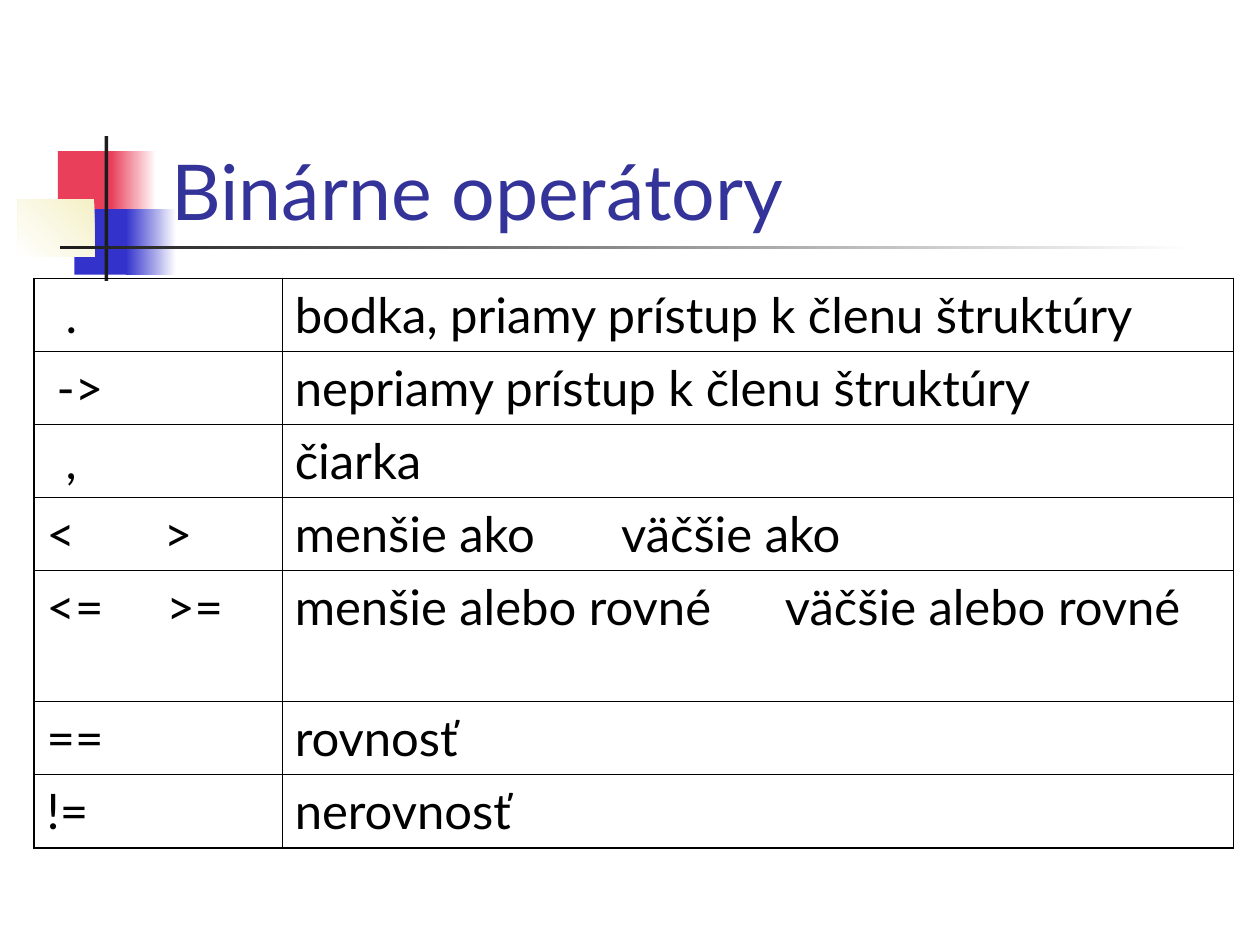
from dataclasses import dataclass

from lxml import etree
from pptx import Presentation
from pptx.dml.color import RGBColor
from pptx.enum.shapes import MSO_SHAPE
from pptx.enum.text import MSO_ANCHOR, MSO_AUTO_SIZE, PP_ALIGN
from pptx.oxml.ns import qn
from pptx.util import Inches, Pt

RECTANGLE = MSO_SHAPE.RECTANGLE
BOTTOM = MSO_ANCHOR.BOTTOM
LEFT = PP_ALIGN.LEFT
NO_AUTOFIT = MSO_AUTO_SIZE.NONE
TITLE_ONLY = 5


@dataclass(frozen=True)
class Theme:
    font: str = "Lato"
    title_size: float = 44
    body_size: float = 28
    outer_line: float = 1.08
    inner_line: float = 0.45
    title: str = "333399"
    text: str = "000000"
    white: str = "FFFFFF"
    red: str = "E93F5B"
    blue: str = "3333CC"
    cream: str = "F4F0C6"
    dark: str = "1C1C1C"


def color(value):
    return RGBColor.from_string(value)


class SlideBuilder:
    def __init__(self, slide, theme):
        self.slide = slide
        self.theme = theme

    def style_font(self, paragraph, size, value):
        for run in paragraph.runs:
            run.font.name = self.theme.font
            run.font.size = Pt(size)
            run.font.color.rgb = color(value)

    def block(self, box, start, end=None, angle=180):
        """Add a rectangle, solid or fading from start to end; angle is counter-clockwise."""
        shape = self.slide.shapes.add_shape(RECTANGLE, *map(Inches, box))
        shape.shadow.inherit = False
        shape.line.fill.background()
        if end is None:
            shape.fill.solid()
            shape.fill.fore_color.rgb = color(start)
            return
        shape.fill.gradient()
        shape.fill.gradient_angle = angle
        for stop, position, value in zip(shape.fill.gradient_stops, (0, 1), (start, end)):
            stop.position = position
            stop.color.rgb = color(value)

    def title(self, text, box):
        shape = self.slide.shapes.title
        shape.left, shape.top, shape.width, shape.height = map(Inches, box)
        frame = shape.text_frame
        frame.text = text
        frame.auto_size = NO_AUTOFIT
        frame.vertical_anchor = BOTTOM
        paragraph = frame.paragraphs[0]
        paragraph.alignment = LEFT
        self.style_font(paragraph, self.theme.title_size, self.theme.title)
        shape.element.getparent().append(shape.element)  # in front of the decoration

    def border(self, cell, side, width):
        line = etree.SubElement(cell._tc.get_or_add_tcPr(), qn(f"a:ln{side}"), w=str(Pt(width)))
        fill = etree.SubElement(line, qn("a:solidFill"))
        etree.SubElement(fill, qn("a:srgbClr"), val=self.theme.text)

    def cell(self, cell, text, indent, tab, outer_sides):
        """Fill one cell; indent and tab are inches from the text edge, or 0 for none."""
        for side in "LRTB":
            outer = side in outer_sides
            self.border(cell, side, self.theme.outer_line if outer else self.theme.inner_line)
        cell.fill.background()
        cell.text_frame.text = text
        paragraph = cell.text_frame.paragraphs[0]
        properties = paragraph._p.get_or_add_pPr()
        if indent:
            properties.set("marL", str(Inches(indent)))
        if tab:
            tabs = etree.SubElement(properties, qn("a:tabLst"))
            etree.SubElement(tabs, qn("a:tab"), pos=str(Inches(tab)), algn="l")
        self.style_font(paragraph, self.theme.body_size, self.theme.text)

    def table(self, rows, box, widths, heights):
        shape = self.slide.shapes.add_table(len(rows), len(widths), *map(Inches, box))
        table = shape.table
        table.first_row = table.horz_banding = False
        for column, width in zip(table.columns, widths):
            column.width = Inches(width)
        for row, height in zip(table.rows, heights):
            row.height = Inches(height)
        for i, row in enumerate(rows):
            vertical = {0: "T", len(rows) - 1: "B"}.get(i, "")
            for j, (text, indent, tab) in enumerate(row):
                horizontal = {0: "L", len(widths) - 1: "R"}.get(j, "")
                self.cell(table.cell(i, j), text, indent, tab, vertical + horizontal)


# Each cell: text, indent, tab stop
OPERATORS = [
    [(".", 0.15, 0), ("bodka, priamy prístup k členu štruktúry", 0, 0)],
    [("->", 0.08, 0), ("nepriamy prístup k členu štruktúry", 0, 0)],
    [(",", 0.15, 0), ("čiarka", 0, 0)],
    [("<\t>", 0, 0.93), ("menšie ako\tväčšie ako", 0, 2.59)],
    [("<=\t>=", 0, 0.95), ("menšie alebo rovné\tväčšie alebo rovné", 0, 3.89)],
    [("==", 0, 0), ("rovnosť", 0, 0)],
    [("!=", 0, 0), ("nerovnosť", 0, 0)],
]
ROW_HEIGHT, TALL_ROW_HEIGHT, TALL_ROW = 0.58, 1.04, 4


def main():
    presentation = Presentation()
    presentation.slide_width = Inches(10)
    presentation.slide_height = Inches(7.5)
    slide = presentation.slides.add_slide(presentation.slide_layouts[TITLE_ONLY])
    theme = Theme()
    builder = SlideBuilder(slide, theme)

    builder.block((0.46, 1.2, 0.48, 0.52), theme.red)
    builder.block((0.88, 1.2, 0.36, 0.52), theme.white, theme.red)
    builder.block((0.59, 1.66, 0.46, 0.52), theme.blue)
    builder.block((1, 1.66, 0.4, 0.52), theme.white, theme.blue)
    builder.block((0.14, 1.58, 0.61, 0.46), theme.cream, theme.white, angle=225)
    builder.block((0.83, 1.08, 0.03, 1.15), theme.dark)
    builder.block((0.48, 1.95, 9, 0.03), theme.white, theme.dark)

    builder.title("Binárne operátory", (1.26, 0.67, 8.52, 1.25))
    heights = [TALL_ROW_HEIGHT if i == TALL_ROW else ROW_HEIGHT for i in range(len(OPERATORS))]
    builder.table(OPERATORS, (0.27, 2.21, 9.52, sum(heights)), (1.97, 7.55), heights)
    presentation.save("out.pptx")


if __name__ == "__main__":
    main()
